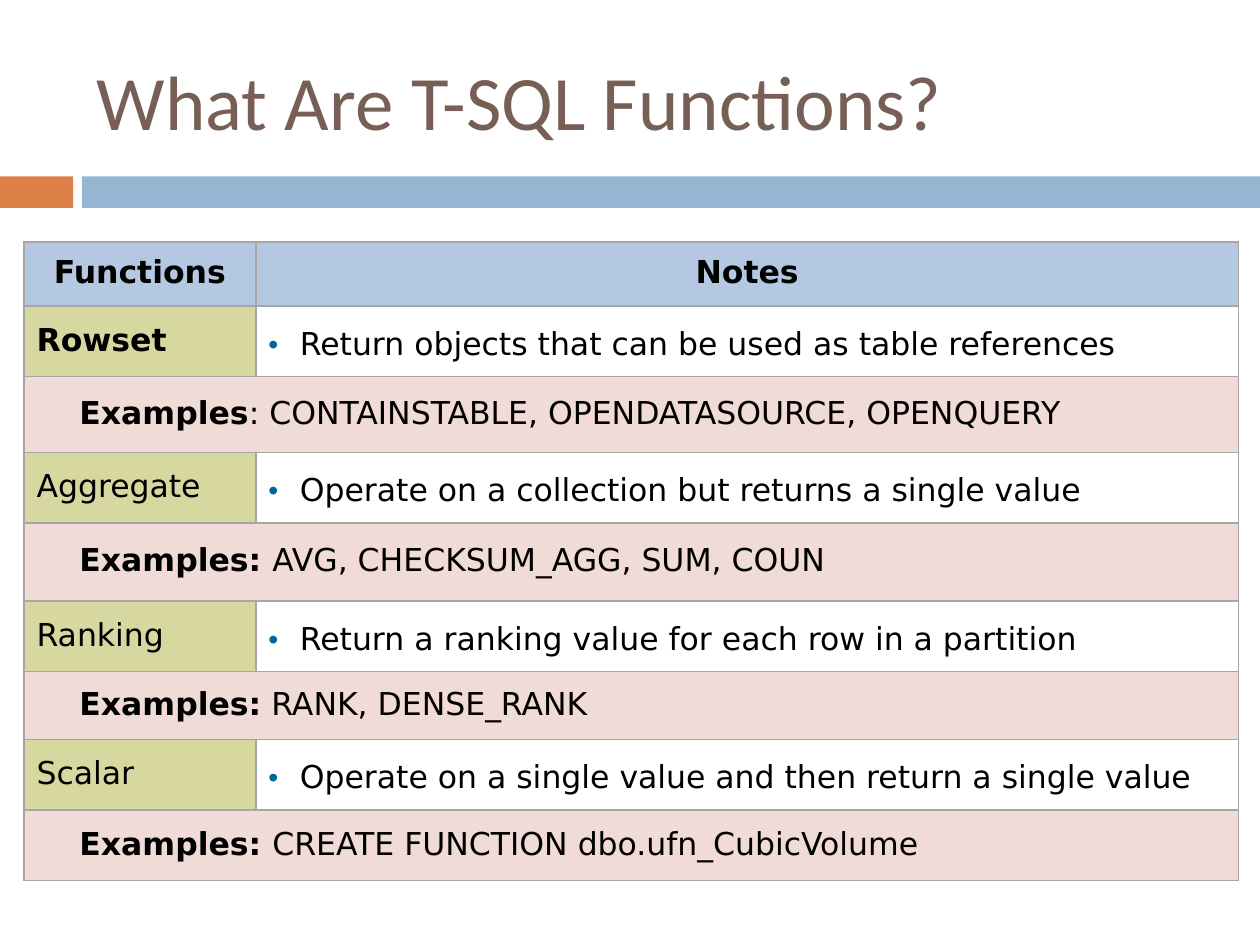
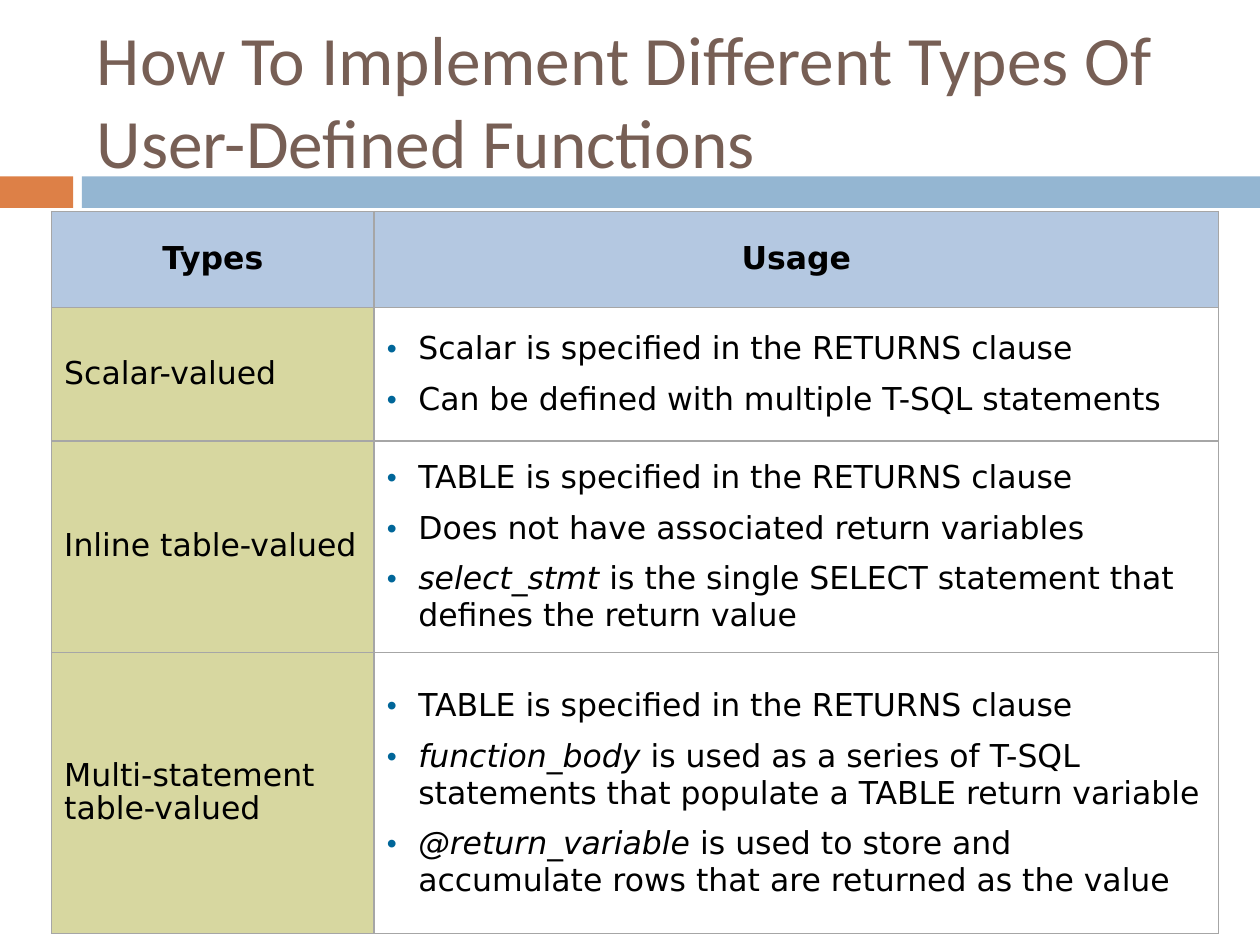
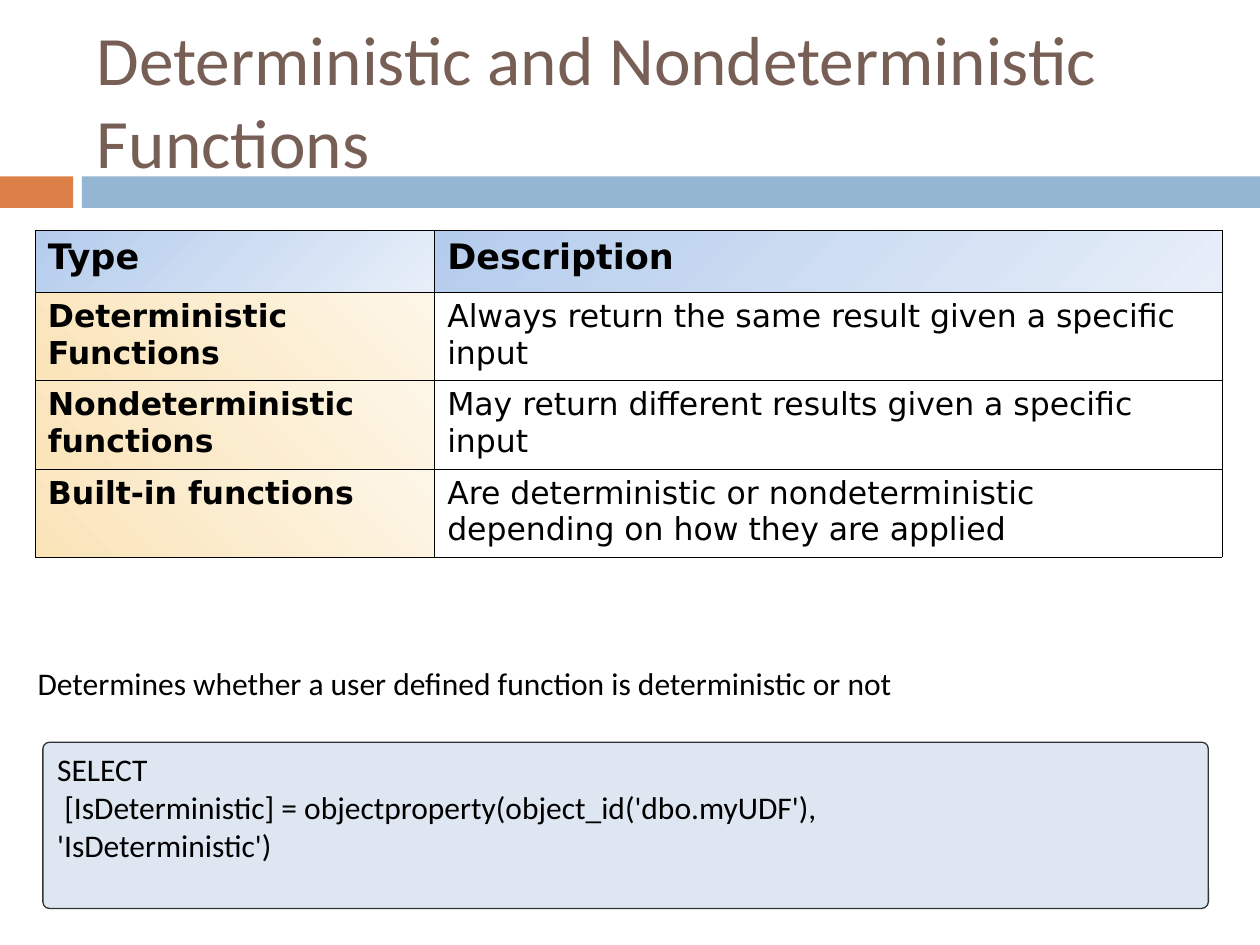
from dataclasses import dataclass
from typing import Any, NamedTuple

import lxml.etree
import pptx
import pptx.dml.color
import pptx.enum.shapes
import pptx.enum.text
import pptx.oxml.ns
import pptx.util

Inches = pptx.util.Inches
Pt = pptx.util.Pt
ALIGN = pptx.enum.text.PP_ALIGN
ANCHOR = pptx.enum.text.MSO_ANCHOR
SHAPE = pptx.enum.shapes.MSO_SHAPE

COLORS = {
    "title": "775F55", "orange": "DD8047", "blue": "94B6D2",
    "head": "B4C8E1", "label": "D7D7A0", "sample": "F1DBD7",
    "white": "FFFFFF", "black": "000000", "grid": "A6A6A6",
    "bullet": "006699", "code": "DEE7F1", "edge": "333333",
    "sky": "B4CCEC", "mist": "E7EEF8", "sand": "FAE4B8", "cream": "FDF6E8",
}
BODY = {"name": "DejaVu Sans", "size": Pt(18)}
NOTE = {"name": "Calibri", "size": Pt(18)}


class Run(NamedTuple):
    text: str
    bold: bool = False
    italic: bool = False


class Box(NamedTuple):
    left: float
    top: float
    width: float
    height: float


class Blend(NamedTuple):
    start: str
    end: str
    angle: float


@dataclass(frozen=True)
class Style:
    fill: str | Blend
    para: dict[str, Any]
    indent: float = 0
    bullet: bool = False
    font: tuple[tuple[str, Any], ...] = tuple(BODY.items())


@dataclass(frozen=True)
class Cell:
    style: Style
    lines: list[list[Run]]
    span: int = 1


@dataclass(frozen=True)
class Grid:
    spot: tuple[float, float]
    cols: list[float]
    rows: list[float]
    cells: list[list[Cell]]
    line: tuple[str, float]
    anchor: Any
    pad: float


# Cell styles
TIGHT = {"line_spacing": 0.9, "space_before": Pt(6)}
HEAD = Style("head", TIGHT | {"alignment": ALIGN.CENTER})
LABEL = Style("label", TIGHT)
SAMPLE = Style("sample", TIGHT, indent=0.34)
FACT = Style("white", {"line_spacing": 1.18, "space_before": Pt(6)}, 0.25, True)
POINT = Style("white", {"space_before": Pt(8)}, 0.25, True)
SKY = Style(Blend("sky", "mist", 315), {}, font=tuple((BODY | {"size": Pt(20)}).items()))
SAND = Style(Blend("sand", "cream", 45), {})
PLAIN = Style("white", {})


def assign(target: Any, values: dict[str, Any]) -> None:
    for name, value in values.items():
        setattr(target, name, value)


def shade(name: str) -> pptx.dml.color.RGBColor:
    return pptx.dml.color.RGBColor.from_string(COLORS[name])


def measure(box: Box) -> list[int]:
    return [Inches(side) for side in box]


def add_node(parent: Any, tag: str, **values: Any) -> Any:
    node = lxml.etree.SubElement(parent, pptx.oxml.ns.qn(tag))
    for name, value in values.items():
        node.set(name, str(value))
    return node


def write(frame: Any, lines: list[list[Run]], font: dict[str, Any],
          para: dict[str, Any], color: str = "black") -> None:
    for index, runs in enumerate(lines):
        row = frame.add_paragraph() if index else frame.paragraphs[0]
        assign(row, {"alignment": ALIGN.LEFT} | para)
        for item in runs:
            run = row.add_run()
            run.text = item.text
            assign(run.font, font | {"bold": item.bold, "italic": item.italic})
            run.font.color.rgb = shade(color)


def add_block(slide: Any, kind: Any, box: Box, fill: str) -> Any:
    block = slide.shapes.add_shape(kind, *measure(box))
    block.shadow.inherit = False
    block.fill.solid()
    block.fill.fore_color.rgb = shade(fill)
    block.line.fill.background()
    return block


def add_text(slide: Any, box: Box, text: str, font: dict[str, Any],
             color: str, anchor: Any) -> None:
    frame = slide.shapes.add_textbox(*measure(box)).text_frame
    assign(frame, {"word_wrap": True, "vertical_anchor": anchor})
    write(frame, [[Run(text)]], font, {}, color)


def start_slide(deck: Any, title: str, size: float) -> Any:
    slide = deck.slides.add_slide(deck.slide_layouts[6])
    add_block(slide, SHAPE.RECTANGLE, Box(0, 1.4, 0.58, 0.25), "orange")
    add_block(slide, SHAPE.RECTANGLE, Box(0.65, 1.4, 9.35, 0.25), "blue")
    add_text(slide, Box(0.67, 0.25, 8.92, 1.08), title,
             {"name": "Calibri", "size": Pt(size)}, "title", ANCHOR.MIDDLE)
    return slide


# Tables
def paint(cell: Any, fill: str | Blend) -> None:
    if isinstance(fill, Blend):
        cell.fill.gradient()
        cell.fill.gradient_angle = fill.angle
        for stop, name in zip(cell.fill.gradient_stops, (fill.start, fill.end)):
            stop.color.rgb = shade(name)
    else:
        cell.fill.solid()
        cell.fill.fore_color.rgb = shade(fill)


def frame_cell(cell: Any, color: str, width: float) -> None:
    props = cell._tc.get_or_add_tcPr()
    for index, side in enumerate("LRTB"):
        line = add_node(props, f"a:ln{side}", w=Pt(width))
        add_node(add_node(line, "a:solidFill"), "a:srgbClr", val=COLORS[color])
        props.insert(index, line)


def indent(row: Any, style: Style) -> None:
    props = row._p.get_or_add_pPr()
    props.set("marL", str(Inches(style.indent)))
    props.set("indent", str(-Inches(style.indent) if style.bullet else 0))
    if style.bullet:
        add_node(add_node(props, "a:buClr"), "a:srgbClr", val=COLORS["bullet"])
        add_node(props, "a:buSzPct", val=90000)
        add_node(props, "a:buFont", typeface="Arial")
        add_node(props, "a:buChar", char="•")


def fill_cell(cell: Any, item: Cell) -> None:
    style = item.style
    write(cell.text_frame, item.lines, dict(style.font), style.para)
    for row in cell.text_frame.paragraphs:
        indent(row, style)


def add_grid(slide: Any, grid: Grid) -> None:
    box = Box(*grid.spot, sum(grid.cols), sum(grid.rows))
    table = slide.shapes.add_table(len(grid.rows), len(grid.cols), *measure(box)).table
    table.horz_banding = False
    for col, width in zip(table.columns, grid.cols):
        col.width = Inches(width)
    for row, height in zip(table.rows, grid.rows):
        row.height = Inches(height)
    pads = {"margin_top": Inches(grid.pad), "margin_bottom": Inches(grid.pad),
            "margin_left": Inches(0.1), "margin_right": Inches(0.1)}
    for y, items in enumerate(grid.cells):
        for x in range(len(grid.cols)):
            cell = table.cell(y, x)
            assign(cell, pads | {"vertical_anchor": grid.anchor})
            paint(cell, items[min(x, len(items) - 1)].style.fill)
            frame_cell(cell, *grid.line)
        for x, item in enumerate(items):
            if item.span > 1:
                table.cell(y, x).merge(table.cell(y, x + item.span - 1))
            fill_cell(table.cell(y, x), item)


def one(style: Style, text: str, bold: bool = False) -> Cell:
    return Cell(style, [[Run(text, bold)]])


def pair(style: Style, left: str, right: str) -> list[Cell]:
    return [one(style, left, True), one(style, right, True)]


# Slide 1: kinds of functions
def build_kinds(deck: Any) -> None:
    slide = start_slide(deck, "What Are T-SQL Functions?", 44)
    kinds = [
        ("Rowset", "Return objects that can be used as table references",
         [Run("Examples", True), Run(": CONTAINSTABLE, OPENDATASOURCE, OPENQUERY")]),
        ("Aggregate", "Operate on a collection but returns a single value",
         [Run("Examples: ", True), Run("AVG, CHECKSUM_AGG, SUM, COUN")]),
        ("Ranking", "Return a ranking value for each row in a partition",
         [Run("Examples:", True), Run(" RANK, DENSE_RANK")]),
        ("Scalar", "Operate on a single value and then return a single value",
         [Run("Examples: ", True), Run("CREATE FUNCTION dbo.ufn_CubicVolume")]),
    ]
    cells = [pair(HEAD, "Functions", "Notes")]
    for name, note, sample in kinds:
        cells.append([one(LABEL, name, name == "Rowset"), one(FACT, note)])
        cells.append([Cell(SAMPLE, [sample], span=2)])
    rows = [0.51, 0.56, 0.6, 0.56, 0.62, 0.56, 0.54, 0.56, 0.56]
    add_grid(slide, Grid((0.19, 1.92), [1.84, 7.8], rows, cells,
                         ("grid", 1), ANCHOR.MIDDLE, 0.1))


# Slide 2: user-defined types
def build_types(deck: Any) -> None:
    slide = start_slide(
        deck, "How To Implement Different Types Of User-Defined Functions", 39.6)
    table = [Run("TABLE is specified in the RETURNS clause")]
    types = [
        ("Scalar-valued", [
            [Run("Scalar is specified in the RETURNS clause")],
            [Run("Can be defined with multiple T-SQL statements")]]),
        ("Inline table-valued", [
            table,
            [Run("Does not have associated return variables")],
            [Run("select_stmt", italic=True),
             Run(" is the single SELECT statement that defines the return value")]]),
        ("Multi-statement table-valued", [
            table,
            [Run("function_body", italic=True),
             Run(" is used as a series of T-SQL statements that populate "
                 "a TABLE return variable")],
            [Run("@return_variable ", italic=True),
             Run("is used to store and accumulate rows that are returned "
                 "as the value")]]),
    ]
    cells = [pair(HEAD, "Types", "Usage")]
    cells += [[one(LABEL, name), Cell(POINT, lines)] for name, lines in types]
    add_grid(slide, Grid((0.41, 1.68), [2.56, 6.7], [0.76, 1.06, 1.68, 2.23], cells,
                         ("grid", 1), ANCHOR.MIDDLE, 0.1))


# Slide 3: deterministic or not
def build_checks(deck: Any) -> None:
    slide = start_slide(deck, "Deterministic and Nondeterministic Functions", 39.6)
    facts = [
        ("Deterministic Functions", "Always return the same result given a specific input"),
        ("Nondeterministic functions", "May return different results given a specific input"),
        ("Built-in functions",
         "Are deterministic or nondeterministic depending on how they are applied"),
    ]
    cells = [pair(SKY, "Type", "Description")]
    cells += [[one(SAND, name, True), one(PLAIN, note)] for name, note in facts]
    add_grid(slide, Grid((0.28, 1.83), [3.17, 6.25], [0.49, 0.68, 0.68, 0.68], cells,
                         ("black", 0.25), ANCHOR.TOP, 0.05))

    # Query panel and its caption
    panel = add_block(slide, SHAPE.ROUNDED_RECTANGLE, Box(0.34, 5.89, 9.25, 1.32), "code")
    panel.adjustments[0] = 0.04
    panel.line.color.rgb = shade("edge")
    panel.line.width = Pt(0.75)
    assign(panel.text_frame, {"word_wrap": True, "vertical_anchor": ANCHOR.TOP})
    query = ["SELECT",
             " [IsDeterministic] = objectproperty(object_id('dbo.myUDF'),",
             "'IsDeterministic')"]
    write(panel.text_frame, [[Run(line)] for line in query], NOTE, {})
    add_text(slide, Box(0.2, 5.22, 9.65, 0.4),
             "Determines whether a user defined function is deterministic or not",
             NOTE, "black", ANCHOR.TOP)


def main() -> None:
    deck = pptx.Presentation()
    assign(deck, {"slide_width": Inches(10), "slide_height": Inches(7.5)})
    for build in (build_kinds, build_types, build_checks):
        build(deck)
    deck.save("out.pptx")


if __name__ == "__main__":
    main()
